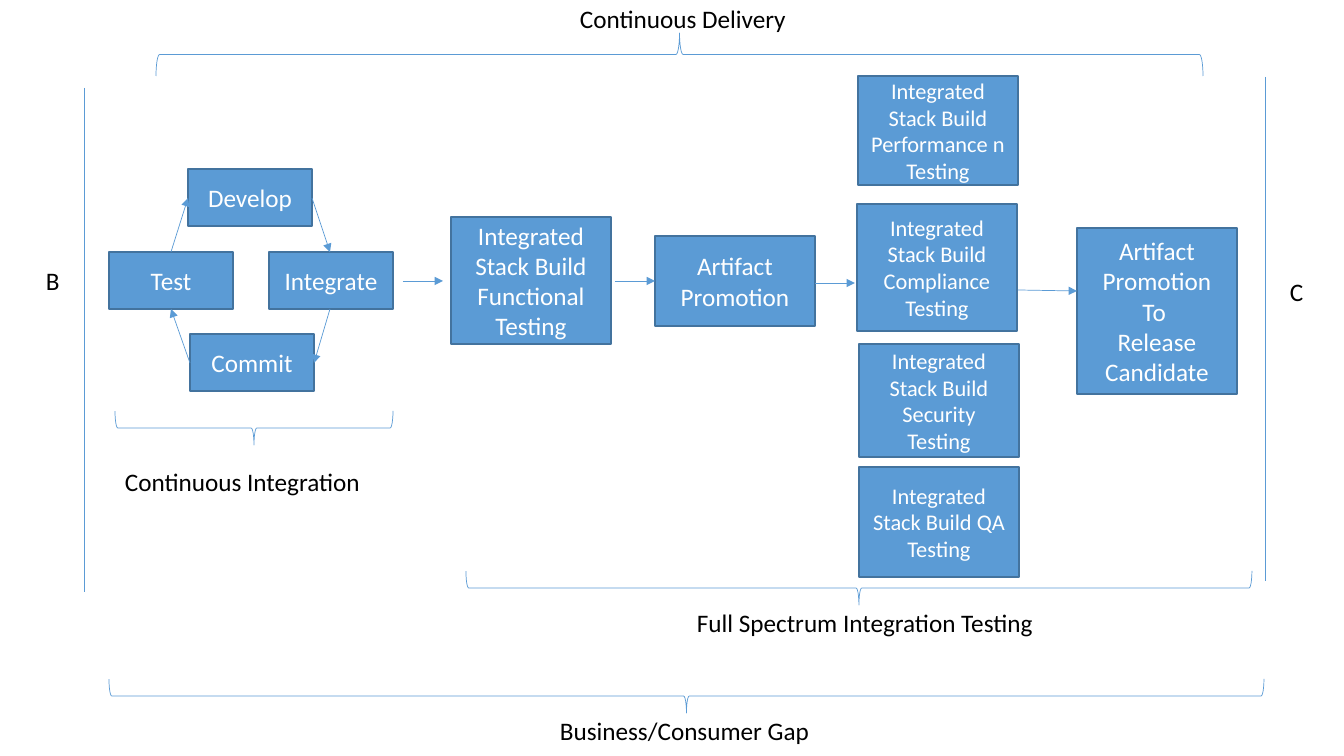
"""Draws the continuous delivery pipeline from business to consumer."""
import pptx
import pptx.util
import pptx.dml.color
import pptx.enum.shapes
import pptx.enum.text
import pptx.oxml
import pptx.oxml.ns

SHAPES = pptx.enum.shapes.MSO_SHAPE
ALIGN = pptx.enum.text.PP_ALIGN
ANCHOR = pptx.enum.text.MSO_ANCHOR
SCALE = 914400 / 100.8


def px(length):
    return pptx.util.Emu(round(length * SCALE))


def color(value):
    return pptx.dml.color.RGBColor.from_string(value)


class Diagram:
    font = "Calibri"
    fill = "5B9BD5"
    border = "43739E"
    stroke = "5B9BD5"

    def __init__(self, page):
        self.page = page

    def set_text(self, frame, text, size, ink, align):
        frame.word_wrap = True
        frame.text = text
        for para in frame.paragraphs:
            para.alignment = align
            for span in para.runs:
                span.font.name = self.font
                span.font.size = pptx.util.Pt(size)
                span.font.color.rgb = color(ink)

    def set_stroke(self, line, ink, width):
        line.color.rgb = color(ink)
        line.width = pptx.util.Pt(width)

    def label(self, text, left, top, width):
        box = self.page.shapes.add_textbox(px(left), px(top), px(width), px(40))
        self.set_text(box.text_frame, text, 18, "000000", ALIGN.LEFT)

    def box(self, text, left, top, width, height, size=18):
        box = self.page.shapes.add_shape(SHAPES.RECTANGLE, px(left), px(top), px(width), px(height))
        box.shadow.inherit = False
        box.fill.solid()
        box.fill.fore_color.rgb = color(self.fill)
        self.set_stroke(box.line, self.border, 1)
        box.text_frame.vertical_anchor = ANCHOR.MIDDLE
        self.set_text(box.text_frame, text, size, "FFFFFF", ALIGN.CENTER)

    def brace(self, left, top, width, height, rotation=270):
        across = left + (width - height) / 2
        down = top + (height - width) / 2
        brace = self.page.shapes.add_shape(SHAPES.LEFT_BRACE, px(across), px(down), px(height), px(width))
        brace.rotation = rotation
        brace.shadow.inherit = False
        brace.fill.background()
        self.set_stroke(brace.line, self.stroke, 0.5)

    def line(self, start_x, start_y, end_x, end_y, arrow=True):
        line = self.page.shapes.add_connector(
            pptx.enum.shapes.MSO_CONNECTOR.STRAIGHT, px(start_x), px(start_y), px(end_x), px(end_y))
        self.set_stroke(line.line, self.stroke, 0.5)
        properties = line._element.spPr
        namespace = pptx.oxml.ns.nsdecls("a")
        if arrow:
            head = pptx.oxml.parse_xml(f'<a:tailEnd {namespace} type="triangle"/>')
            properties.find(pptx.oxml.ns.qn("a:ln")).append(head)
        properties.append(pptx.oxml.parse_xml(f"<a:effectLst {namespace}/>"))


deck = pptx.Presentation()
deck.slide_width = px(1344)
deck.slide_height = px(756)
diagram = Diagram(deck.slides.add_slide(deck.slide_layouts[6]))

for boundary_x, boundary_top in ((84, 88), (1265, 77)):
    diagram.line(boundary_x, boundary_top, boundary_x, boundary_top + 504, arrow=False)

for step, left, top in (("Develop", 188, 169), ("Integrate", 269, 252),
                        ("Commit", 190, 334), ("Test", 109, 252)):
    diagram.box(step, left, top, 124, 57)

STAGE_WIDTH = 160
for stage, left, top, height, size in (
    ("Integrated Stack Build\nFunctional Testing", 451, 217, 127, 18),
    ("Artifact Promotion", 655, 236, 90, 18),
    ("Integrated Stack Build\nPerformance n Testing", 858, 76, 109, 16),
    ("Integrated Stack Build\nCompliance\nTesting", 857, 204, 127, 16),
    ("Integrated Stack Build Security Testing", 859, 344, 113, 16),
    ("Integrated Stack Build QA Testing", 859, 467, 110, 16),
    ("Artifact Promotion\nTo \nRelease Candidate", 1077, 228, 166, 18),
):
    diagram.box(stage, left, top, STAGE_WIDTH, height, size)

cycle_arrows = ((312, 198, 330, 252), (330, 309, 314, 363),
                (190, 363, 171, 309), (171, 252, 188, 198))
stage_arrows = ((403, 281, 443, 281), (615, 281, 655, 281),
                (815, 283, 855, 283), (1018, 290, 1077, 291))
for arrow in cycle_arrows + stage_arrows:
    diagram.line(*arrow)

diagram.brace(156, 33, 1047, 43, rotation=90)
for left, top, width in ((115, 411, 278), (466, 571, 786), (109, 679, 1155)):
    diagram.brace(left, top, width, 34)

for text, left, top, width in (
    ("B", 36, 260, 46),
    ("C", 1280, 271, 46),
    ("Continuous Delivery", 570, -2, 454),
    ("Continuous Integration", 115, 461, 278),
    ("Full Spectrum Integration Testing", 687, 602, 454),
    ("Business/Consumer Gap", 550, 710, 454),
):
    diagram.label(text, left, top, width)

deck.save("out.pptx")
